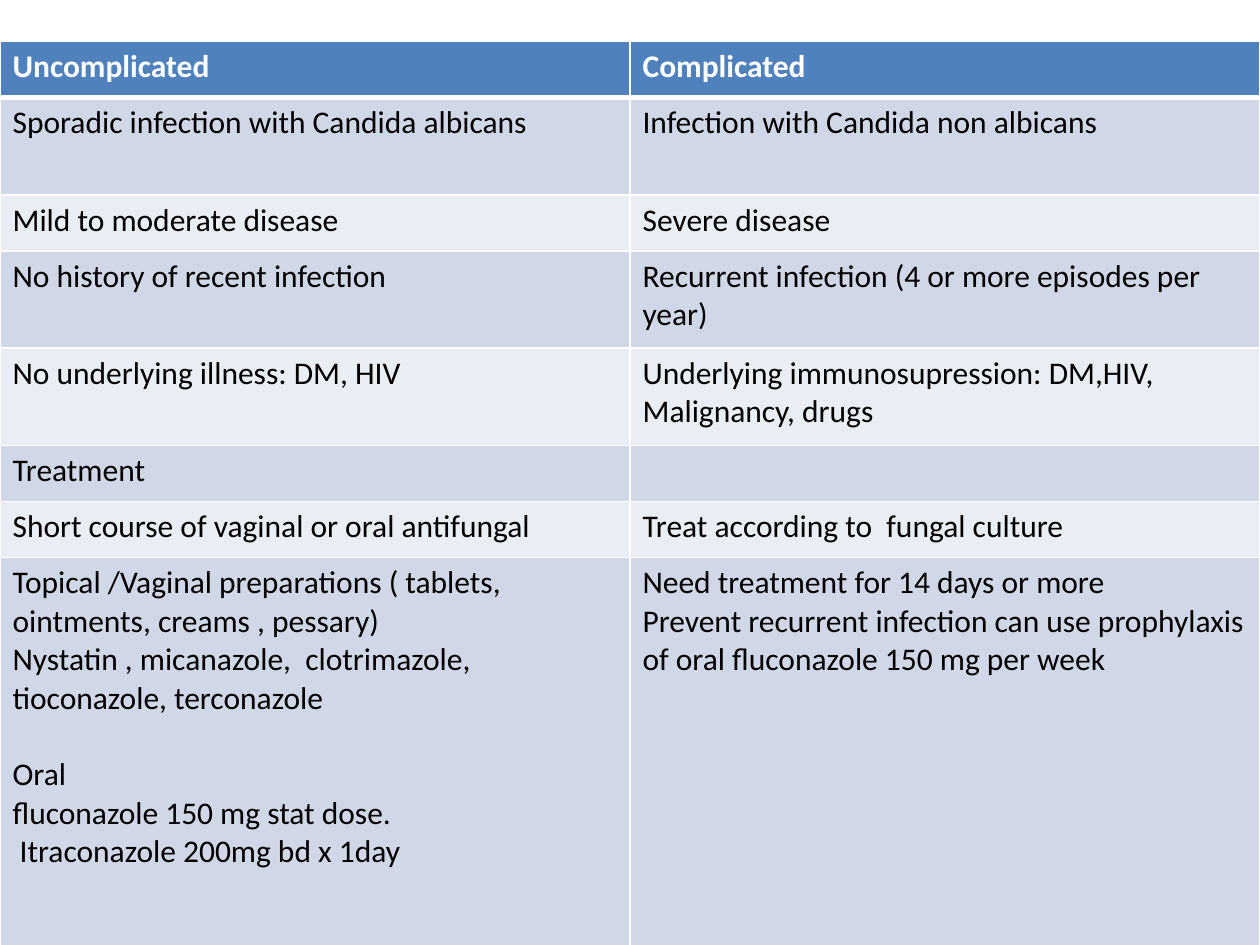
from dataclasses import dataclass

from lxml.etree import SubElement as Sub
from pptx import Presentation as Deck
from pptx.dml.color import RGBColor as Rgb
from pptx.oxml.ns import qn
from pptx.util import Cm, Pt

WIDE, TALL = 25.4, 19.05
TOP = 0.84
LOW, MID, HIGH = 1.13, 1.96, 7.82
HEAD, DARK, PALE = "4F81BD", "D0D8E8", "E9EDF4"
WHITE, BLACK = "FFFFFF", "000000"


@dataclass
class Line:
    text: str
    gap: float = 0


@dataclass
class Row:
    tall: float
    left: list[Line]
    right: list[Line]


ROWS = [
    Row(LOW, [Line("Uncomplicated")], [Line("Complicated")]),
    Row(MID, [Line("Sporadic infection with Candida albicans")],
        [Line("Infection with Candida non albicans")]),
    Row(LOW, [Line("Mild to moderate disease")], [Line("Severe disease")]),
    Row(MID, [Line("No history of recent infection")],
        [Line("Recurrent infection (4 or more episodes per  year)")]),
    Row(MID, [Line("No underlying illness: DM, HIV")],
        [Line("Underlying immunosupression: DM,HIV, Malignancy, drugs")]),
    Row(LOW, [Line("Treatment")], []),
    Row(LOW, [Line("Short course of vaginal or oral antifungal")],
        [Line("Treat according to  fungal culture")]),
    Row(HIGH,
        [Line("Topical /Vaginal preparations ( tablets, ointments, creams , pessary)"),
         Line("Nystatin , micanazole,  clotrimazole, tioconazole, terconazole"),
         Line("Oral", gap=22),
         Line("fluconazole 150 mg stat dose."),
         Line(" Itraconazole 200mg bd x 1day")],
        [Line("Need treatment for 14 days or more"),
         Line("Prevent recurrent infection can use prophylaxis of oral "
              "fluconazole 150 mg per week")]),
]


def paint(fill, tone: str) -> None:
    fill.solid()
    fill.fore_color.rgb = Rgb.from_string(tone)


def edge(cell, top: float, base: float) -> None:
    props = cell._tc.get_or_add_tcPr()
    sides = {"L": 1, "R": 1, "T": top, "B": base}
    for spot, (side, size) in enumerate(sides.items()):
        line = Sub(props, qn(f"a:ln{side}"), w=str(Pt(size)))
        Sub(Sub(line, qn("a:solidFill")), qn("a:srgbClr"), val=WHITE)
        props.insert(spot, line)


def write(cell, lines: list[Line], tone: str, bold: bool) -> None:
    frame = cell.text_frame
    for spot, line in enumerate(lines):
        para = frame.add_paragraph() if spot else frame.paragraphs[0]
        if line.gap:
            para.space_before = Pt(line.gap)
        run = para.add_run()
        run.text = line.text
        font = run.font
        font.name, font.size, font.bold = "Calibri", Pt(18), bold
        paint(font.fill, tone)


def draw(slide, rows: list[Row]) -> None:
    total = sum(row.tall for row in rows)
    grid = slide.shapes.add_table(
        len(rows), 2, Cm(0), Cm(TOP), Cm(WIDE), Cm(total)).table
    for spot, row in enumerate(rows):
        grid.rows[spot].height = Cm(row.tall)
        first = spot == 0
        back = HEAD if first else (PALE, DARK)[spot % 2]
        for col, lines in enumerate((row.left, row.right)):
            cell = grid.cell(spot, col)
            paint(cell.fill, back)
            edge(cell, 3 if spot == 1 else 1, 3 if first else 1)
            write(cell, lines, WHITE if first else BLACK, first)


def main() -> None:
    deck = Deck()
    deck.slide_width, deck.slide_height = Cm(WIDE), Cm(TALL)
    slide = deck.slides.add_slide(deck.slide_layouts[6])
    paint(slide.background.fill, WHITE)
    draw(slide, ROWS)
    deck.save("out.pptx")


if __name__ == "__main__":
    main()
